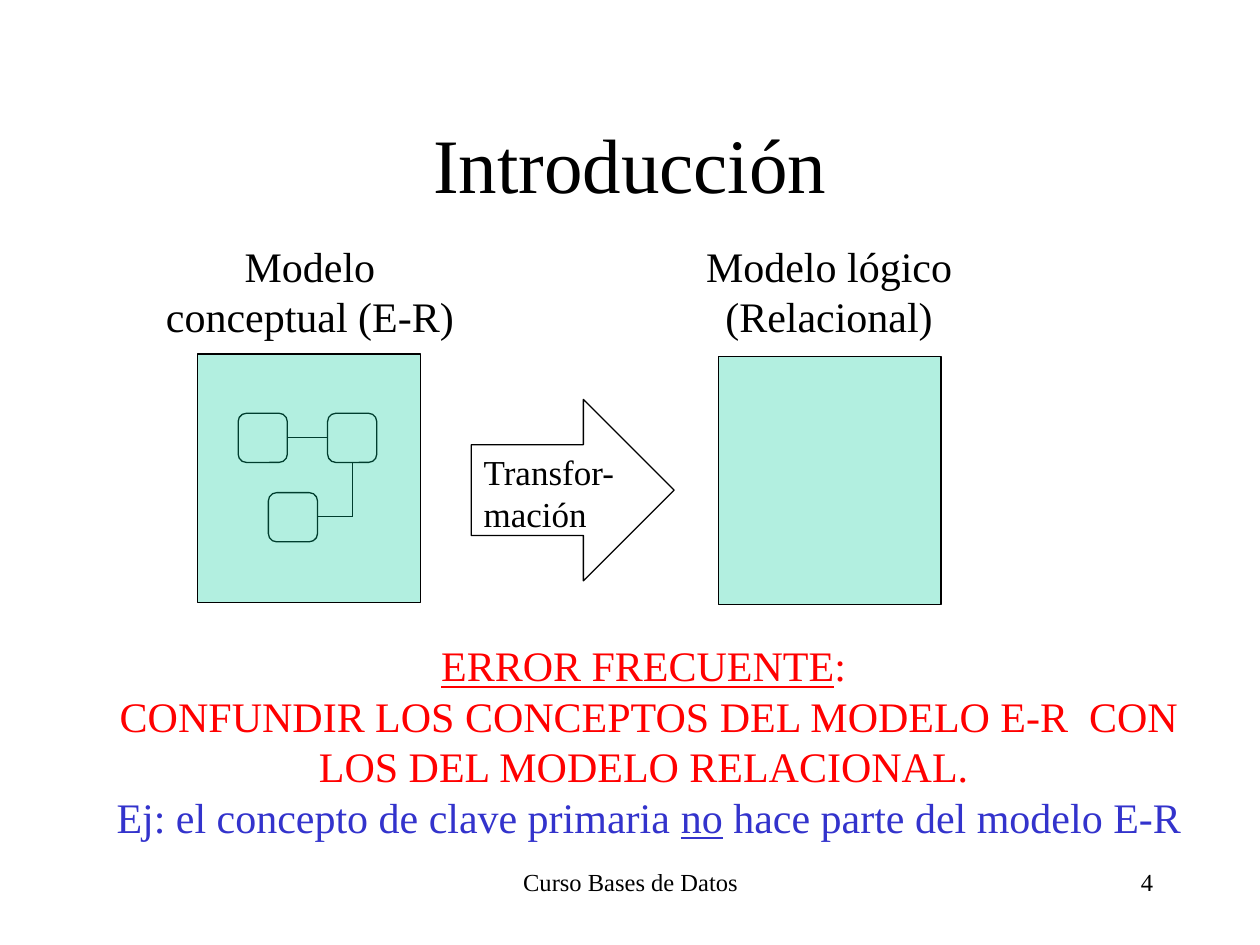
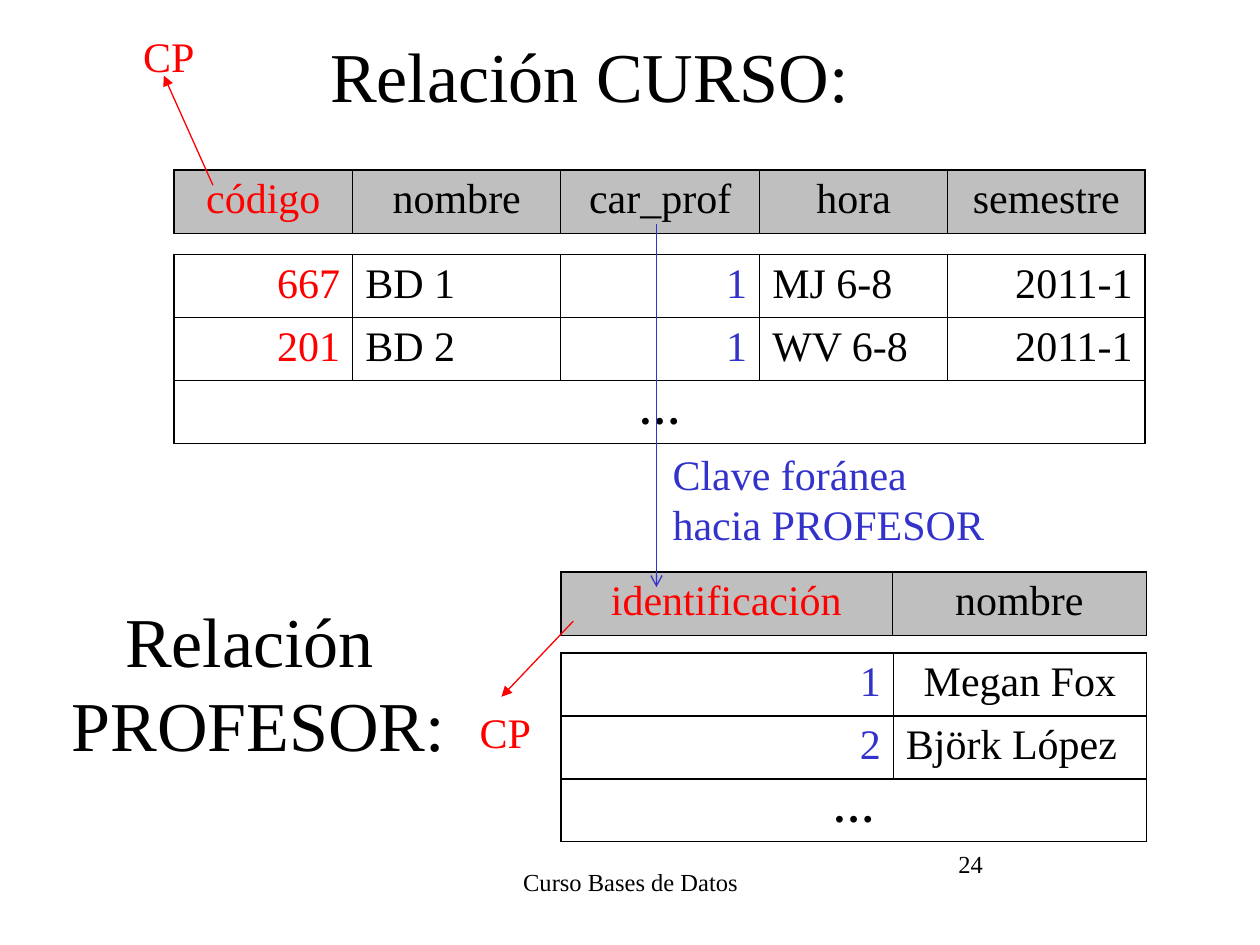
from lxml.etree import SubElement
from pptx import Presentation
from pptx.dml.color import RGBColor
from pptx.enum.shapes import MSO_CONNECTOR, MSO_SHAPE as Shape
from pptx.enum.text import MSO_ANCHOR as Anchor, PP_ALIGN as Align
from pptx.oxml.ns import qn
from pptx.util import Pt

PX = 9144  # 100 px to the inch
FONT = "Times New Roman"
BLACK = RGBColor(0x00, 0x00, 0x00)
WHITE = RGBColor(0xFF, 0xFF, 0xFF)
RED = RGBColor(0xFF, 0x00, 0x00)
BLUE = RGBColor(0x33, 0x33, 0xCC)
GREEN = RGBColor(0x00, 0xCC, 0x99)
GREY = RGBColor(0xBF, 0xBF, 0xBF)
THIN, THICK = Pt(0.45), Pt(1.08)
LEFT, CENTER, RIGHT = Align.LEFT, Align.CENTER, Align.RIGHT


def write(frame, text, size, colour=BLACK, align=CENTER, anchor=Anchor.TOP):
    frame.word_wrap = True
    frame.vertical_anchor = anchor
    frame.text = text
    for para in frame.paragraphs:
        para.alignment = align
        for span in para.runs:
            span.font.name, span.font.size = FONT, Pt(size)
            span.font.color.rgb = colour


def add_line(page, ends, colour=BLACK, head=None):
    line = page.shapes.add_connector(MSO_CONNECTOR.STRAIGHT, *[end * PX for end in ends])
    line.line.color.rgb, line.line.width = colour, Pt(0.75)
    if head:
        SubElement(line.line._get_or_add_ln(), qn("a:tailEnd"), type=head)
    SubElement(line._element.spPr, qn("a:effectLst"))


deck = Presentation()
deck.slide_width, deck.slide_height = 1000 * PX, 750 * PX
intro, relations = [deck.slides.add_slide(deck.slide_layouts[5]) for _ in range(2)]

# Titles
for page, text, left, top, size in [
    (intro, "Introducción", 75, 67, 44),
    (relations, "Relación CURSO:", 43, -3, 40),
]:
    title = page.shapes.title
    title.left, title.top, title.width, title.height = left * PX, top * PX, 850 * PX, 125 * PX
    write(title.text_frame, text, size, anchor=Anchor.MIDDLE)

# Introduction: entity diagram, the two models and the arrow between them
entities = [(Shape.ROUNDED_RECTANGLE, left, top, 39, 39, WHITE)
            for left, top in [(189, 328), (260, 328), (213, 391)]]
models = [(Shape.RECTANGLE, left, top, 177, 197, GREEN) for left, top in [(157, 281), (570, 283)]]
arrow = (Shape.RIGHT_ARROW, 374, 317, 161, 144, WHITE)

for ends in [(280, 367, 280, 410), (252, 410, 280, 410), (228, 347, 260, 347)]:
    add_line(intro, ends)
for kind, left, top, width, height, colour in entities + models + [arrow]:
    box = intro.shapes.add_shape(kind, left * PX, top * PX, width * PX, height * PX)
    box.shadow.inherit = False
    box.fill.solid()
    box.fill.fore_color.rgb = colour
    box.line.color.rgb, box.line.width = BLACK, Pt(0.75)
    if colour == GREEN:
        tint = box._element.spPr.find(qn("a:solidFill"))[0]
        SubElement(tint, qn("a:alpha"), val="30000")
    if kind == Shape.RIGHT_ARROW:
        write(box.text_frame, "Transfor-mación", 20, align=LEFT)

# Introduction: warning, one list of (text, underlined) spans per paragraph
warning = intro.shapes.add_textbox(82 * PX, 503 * PX, 866 * PX, 170 * PX).text_frame
warning.word_wrap = True
for index, (colour, spans) in enumerate([
    (RED, [("ERROR FRECUENTE", True), (": ", False)]),
    (RED, [("CONFUNDIR LOS CONCEPTOS DEL MODELO E-R  CON LOS DEL MODELO RELACIONAL. ", False)]),
    (BLUE, [("Ej: el concepto de clave primaria ", False), ("no", True),
            (" hace parte del modelo E-R", False)]),
]):
    para = warning.add_paragraph() if index else warning.paragraphs[0]
    para.alignment = CENTER
    for text, underlined in spans:
        span = para.add_run()
        span.text = text
        span.font.name, span.font.size = FONT, Pt(24)
        span.font.color.rgb, span.font.underline = colour, underlined

# Relations: a header table and a data table for each relation
course_widths = [142, 165, 158, 149, 157]
tables = {}
for name, left, top, widths, rows, colours, aligns, fill, right_edge in [
    ("course header", 138, 135, course_widths,
     [["código", "nombre", "car_prof", "hora", "semestre"]],
     [RED] + [BLACK] * 4, [CENTER] * 5, GREY, THICK),
    ("teacher header", 445, 454, [263, 202], [["identificación", "nombre"]],
     [RED, BLACK], [CENTER] * 2, GREY, THIN),
    ("course", 138, 202, course_widths,
     [["667", "BD 1", "1", "MJ 6-8", "2011-1"],
      ["201", "BD 2", "1", "WV 6-8", "2011-1"], ["…"]],
     [RED, BLACK, BLUE, BLACK, BLACK], [RIGHT, LEFT, RIGHT, LEFT, RIGHT], None, THICK),
    ("teacher", 445, 518, [264, 201], [["1", "Megan Fox"], ["2", "Björk López"], ["…"]],
     [BLUE, BLACK], [RIGHT, LEFT], None, THIN),
]:
    last_row, last_col = len(rows) - 1, len(widths) - 1
    table = relations.shapes.add_table(len(rows), len(widths), left * PX, top * PX,
                                       sum(widths) * PX, len(rows) * 50 * PX).table
    tables[name] = table
    table.first_row = table.horz_banding = False
    for column, width in zip(table.columns, widths):
        column.width = width * PX
    if len(rows) > 1:
        table.cell(last_row, 0).merge(table.cell(last_row, last_col))

    for row in range(len(rows)):
        for col in range(len(widths)):
            cell = table.cell(row, col)
            if col < len(rows[row]):
                more = rows[row][col] == "…"
                write(cell.text_frame, rows[row][col], 24, BLACK if more else colours[col],
                      CENTER if more else aligns[col])
                cell.text_frame.paragraphs[0].runs[0].font.bold = more
            at_right = col == last_col or cell.is_merge_origin
            edges = {"a:lnL": THIN if col else THICK, "a:lnR": right_edge if at_right else THIN,
                     "a:lnT": THICK, "a:lnB": THIN if row == last_row else THICK}
            for edge, weight in edges.items():
                border = SubElement(cell._tc.get_or_add_tcPr(), qn(edge), w=str(weight))
                SubElement(SubElement(border, qn("a:solidFill")), qn("a:srgbClr"), val=str(BLACK))
            if fill:
                cell.fill.solid()
                cell.fill.fore_color.rgb = fill
            else:
                cell.fill.background()
tables["teacher"].cell(0, 1).text_frame.paragraphs[0].alignment = CENTER

# Relations: key arrows
add_line(relations, (169, 147, 130, 60), RED, "triangle")
add_line(relations, (455, 493, 398, 553), RED, "triangle")
add_line(relations, (521, 178, 521, 466), BLUE, "arrow")

# Labels and footers of both pages
labels = [
    (intro, "Modelo conceptual (E-R)", (112, 186, 268, 90), 24, BLACK, CENTER, Anchor.TOP),
    (intro, "Modelo lógico (Relacional)", (524, 186, 268, 90), 24, BLACK, CENTER, Anchor.TOP),
    (intro, "4", (717, 683, 208, 50), 14, BLACK, RIGHT, Anchor.TOP),
    (relations, "CP", (83, 19, 102, 50), 24, RED, CENTER, Anchor.TOP),
    (relations, "CP", (350, 556, 102, 50), 24, RED, CENTER, Anchor.TOP),
    (relations, "Relación \nPROFESOR:", (4, 478, 402, 125), 40, BLACK, CENTER, Anchor.MIDDLE),
    (relations, "Clave foránea hacia PROFESOR", (524, 351, 284, 90), 24, BLUE, LEFT, Anchor.TOP),
    (relations, "24", (582, 669, 208, 50), 14, BLACK, RIGHT, Anchor.TOP),
]
labels += [(page, "Curso Bases de Datos", (342, 683, 317, 50), 14, BLACK, CENTER, Anchor.TOP)
           for page in (intro, relations)]
for page, text, place, *style in labels:
    box = page.shapes.add_textbox(*[length * PX for length in place])
    write(box.text_frame, text, *style)

deck.save("out.pptx")
